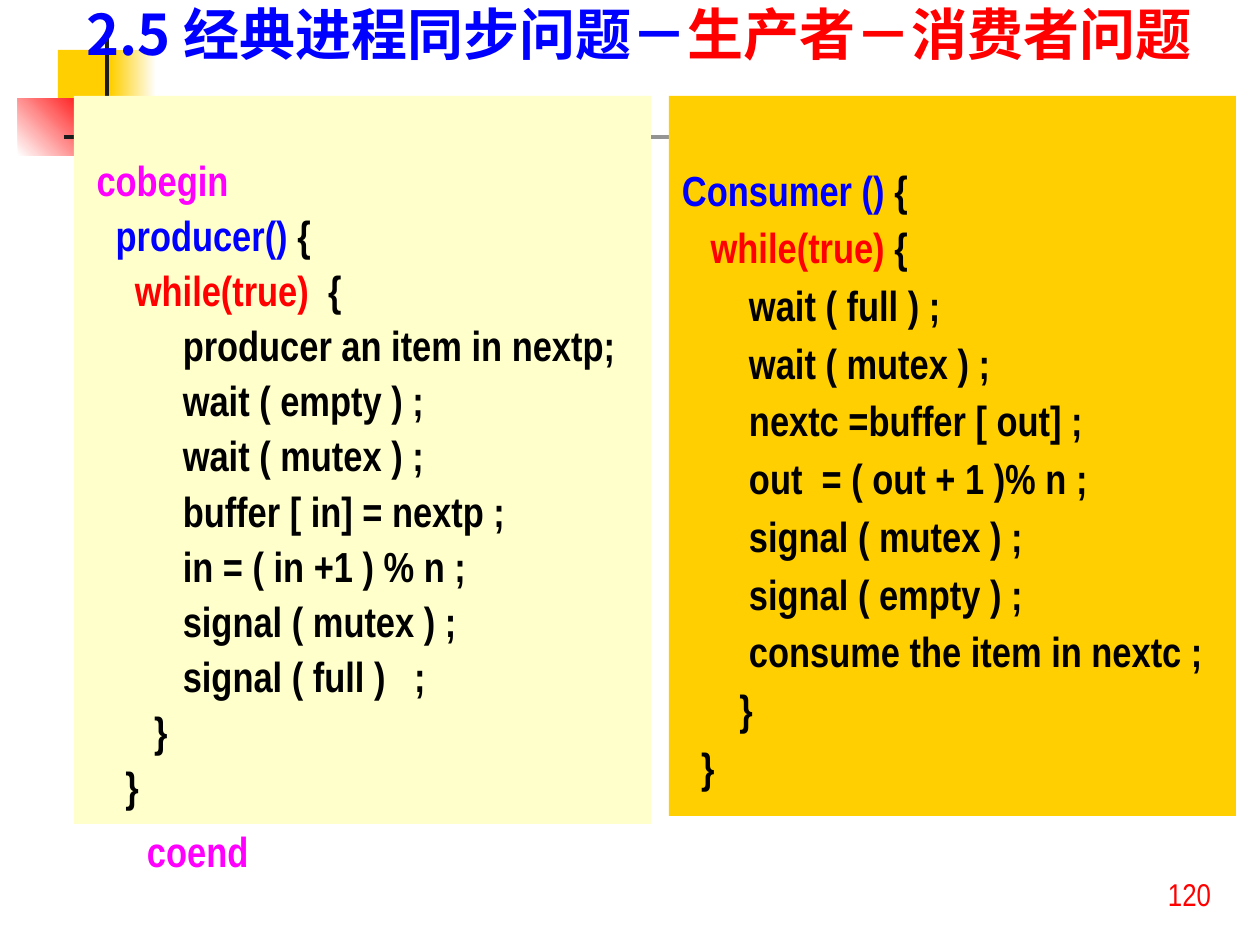
"""Build the producer-consumer synchronization slide."""
from lxml import etree
from pptx import Presentation
from pptx.dml.color import RGBColor
from pptx.enum.shapes import MSO_SHAPE
from pptx.enum.text import MSO_ANCHOR, PP_ALIGN
from pptx.oxml.ns import qn
from pptx.util import Pt

RECTANGLE = MSO_SHAPE.RECTANGLE
TOP, BOTTOM = MSO_ANCHOR.TOP, MSO_ANCHOR.BOTTOM
LEFT = PP_ALIGN.LEFT
PX = 914400 / 126

WHITE = RGBColor(0xFF, 0xFF, 0xFF)
BLACK = RGBColor(0x00, 0x00, 0x00)
CHARCOAL = RGBColor(0x1C, 0x1C, 0x1C)
GOLD = RGBColor(0xFF, 0xCF, 0x01)
CREAM = RGBColor(0xFF, 0xFF, 0xCC)
INDIGO = RGBColor(0x33, 0x33, 0xCC)
RED = RGBColor(0xFF, 0x00, 0x00)
BLUE = RGBColor(0x00, 0x00, 0xFF)
MAGENTA = RGBColor(0xFF, 0x00, 0xFF)
CODE_FONT = "Arial Narrow"
TITLE_FONT = "Noto Sans CJK SC"


def add_block(place, colors, angle=0):
    block = page.shapes.add_shape(RECTANGLE, *[round(value * PX) for value in place])
    block.shadow.inherit = False
    block.line.fill.background()
    if len(colors) == 1:
        block.fill.solid()
        block.fill.fore_color.rgb = colors[0]
    else:
        block.fill.gradient()
        block.fill.gradient_angle = angle
        for stop, color in zip(block.fill.gradient_stops, colors):
            stop.color.rgb = color
    return block


def write_lines(box, lines, font, spacing=1, gap=0, top=6, anchor=TOP):
    frame = box.text_frame
    layout = {"word_wrap": True, "vertical_anchor": anchor, "margin_top": round(top * PX),
              "margin_bottom": round(6 * PX), "margin_left": round(13 * PX),
              "margin_right": round(13 * PX)}
    for name, value in layout.items():
        setattr(frame, name, value)
    for index, spans in enumerate(lines):
        para = frame.add_paragraph() if index else frame.paragraphs[0]
        para.alignment = LEFT
        para.line_spacing = spacing
        para.space_before = Pt(gap if index else 0)
        for text, color in spans:
            span = para.add_run()
            span.text = text
            span.font.color.rgb = color
            for name, value in font.items():
                setattr(span.font, name, value)


deck = Presentation()
deck.slide_width, deck.slide_height = round(1260 * PX), round(945 * PX)
page = deck.slides.add_slide(deck.slide_layouts[5])

decorations = [
    ((58, 50, 60, 66), [GOLD], 0),
    ((111, 50, 45, 66), [GOLD, WHITE], 0),
    ((74, 108, 58, 66), [INDIGO], 0),
    ((18, 98, 77, 58), [WHITE, RED], 45),
    ((105, 35, 4, 145), [CHARCOAL], 0),
    ((64, 135, 1134, 4), [CHARCOAL, WHITE], 0),
]
for place, colors, angle in decorations:
    add_block(place, colors, angle)

producer = [
    [(" cobegin", MAGENTA)],
    [("   producer() ", BLUE), ("{", BLACK)],
    [("     while(true)  ", RED), ("{", BLACK)],
    [("          producer an item in nextp;", BLACK)],
    [("          wait ( empty ) ;", BLACK)],
    [("          wait ( mutex ) ;", BLACK)],
    [("          buffer [ in] = nextp ;", BLACK)],
    [("          in = ( in +1 ) % n ;", BLACK)],
    [("          signal ( mutex ) ;", BLACK)],
    [("          signal ( full )   ;", BLACK)],
    [("       }", BLACK)],
    [("    }", BLACK)],
]
consumer = [
    [("Consumer () ", BLUE), ("{", BLACK)],
    [("   while(true) ", RED), ("{", BLACK)],
    [("       wait ( full ) ;", BLACK)],
    [("       wait ( mutex ) ;", BLACK)],
    [("       nextc =buffer [ out] ;", BLACK)],
    [("       out  = ( out + 1 )% n ;", BLACK)],
    [("       signal ( mutex ) ;", BLACK)],
    [("       signal ( empty ) ;", BLACK)],
    [("       consume the item in nextc ;", BLACK)],
    [("      }", BLACK)],
    [("  }", BLACK)],
]
code = {"name": CODE_FONT, "size": Pt(24), "bold": True}
panels = [
    ((74, 96, 577, 728), CREAM, producer, 0.65, 74),
    ((669, 96, 567, 720), GOLD, consumer, 0.7, 82),
]
for place, color, lines, spacing, top in panels:
    write_lines(add_block(place, [color]), lines, code, spacing, 12.8, top)

labels = [
    ((134, 820, 387, 63), "coend", MAGENTA, code),
    ((1155, 869, 79, 49), "120", RED, {"name": CODE_FONT, "size": Pt(18)}),
]
for place, text, color, font in labels:
    box = page.shapes.add_textbox(*[round(value * PX) for value in place])
    write_lines(box, [[(text, color)]], font)

title = page.shapes.title
title.left, title.top, title.width, title.height = [round(value * PX) for value in (73, 0, 1187, 73)]
heading = [("2.5 经典进程同步问题－", BLUE), ("生产者－消费者问题", RED)]
write_lines(title, [heading], {"name": TITLE_FONT, "size": Pt(32), "bold": True}, anchor=BOTTOM)
for span in title.text_frame.paragraphs[0].runs:
    etree.SubElement(span.font._element, qn("a:ea"), typeface=TITLE_FONT)
title.element.getparent().append(title.element)

deck.save("out.pptx")
